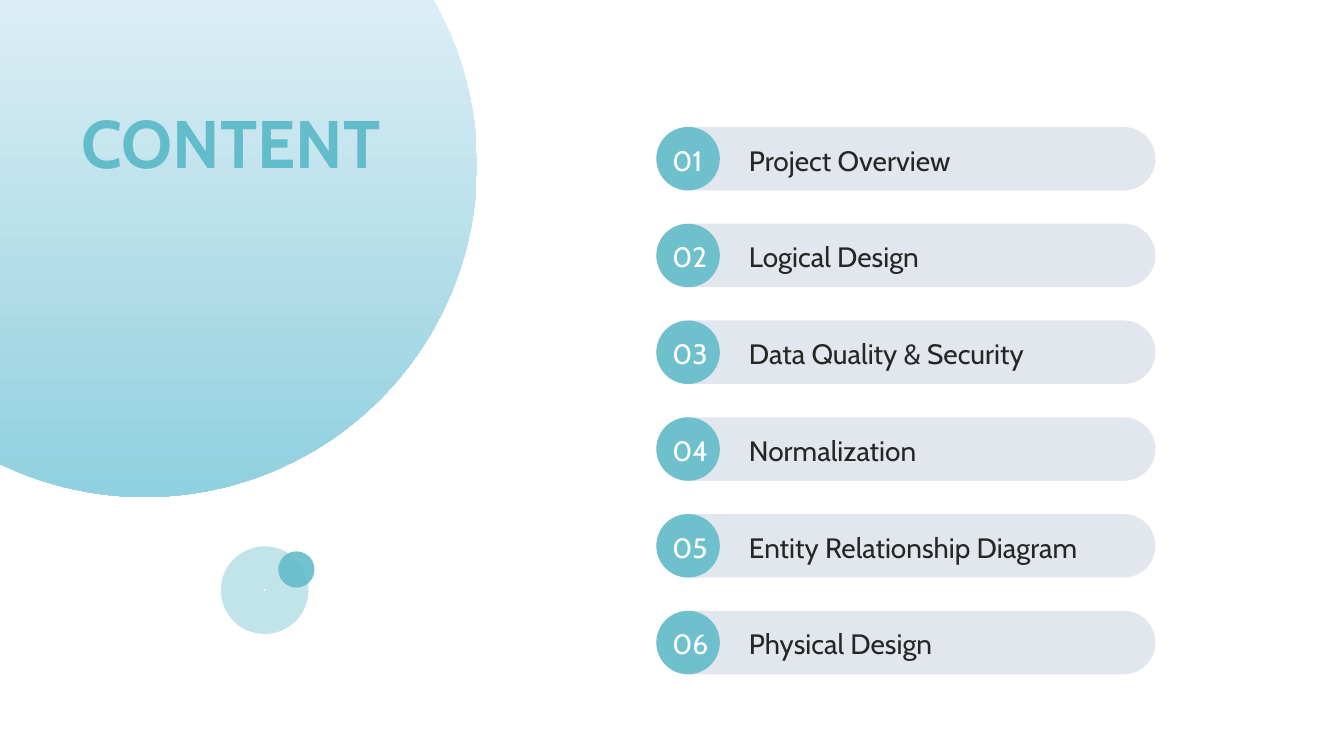
from lxml import etree
from pptx import Presentation
from pptx.dml.color import RGBColor
from pptx.enum.shapes import MSO_SHAPE
from pptx.enum.text import MSO_ANCHOR, MSO_AUTO_SIZE, PP_ALIGN
from pptx.oxml.ns import qn
from pptx.util import Inches, Pt

ELLIPSE = MSO_SHAPE.OVAL
DONUT = MSO_SHAPE.DONUT
ROUNDED = MSO_SHAPE.ROUNDED_RECTANGLE
TOP = MSO_ANCHOR.TOP
LEFT = PP_ALIGN.LEFT
NO_AUTOFIT = MSO_AUTO_SIZE.NONE

FONT = "Cabin"
TEAL, PALE, AQUA = "63BCCA", "F6F8FD", "90D0DF"
BAR, INK, WHITE = "E2E6ED", "262626", "FFFFFF"

TOPICS = [
    "Project Overview",
    "Logical Design",
    "Data Quality & Security",
    "Normalization",
    "Entity Relationship Diagram",
    "Physical Design",
]
FIRST_ROW, ROW_STEP, ROW_HEIGHT = 1.26, 0.96, 0.63
LIST_LEFT, BAR_WIDTH = 6.51, 4.95


def color(hex_string):
    return RGBColor.from_string(hex_string)


def add_preset(page, kind, left, top, width, height):
    shape = page.shapes.add_shape(
        kind, Inches(left), Inches(top), Inches(width), Inches(height))
    shape.shadow.inherit = False
    shape.line.fill.background()
    return shape


def fill_solid(shape, hex_string, opacity=100):
    shape.fill.solid()
    shape.fill.fore_color.rgb = color(hex_string)
    if opacity < 100:
        swatch = shape.element.spPr.find(qn("a:solidFill"))[0]
        etree.SubElement(swatch, qn("a:alpha"), val=str(opacity * 1000))


def fill_gradient(shape, top_color, bottom_color):
    shape.fill.gradient()
    shape.fill.gradient_angle = 270
    stops = shape.fill.gradient_stops
    for stop, position, hex_string in zip(stops, (0, 1), (top_color, bottom_color)):
        stop.position = position
        stop.color.rgb = color(hex_string)


def write_text(box, text, size, hex_string, bold=False):
    frame = box.text_frame
    frame.word_wrap = True
    frame.auto_size = NO_AUTOFIT
    frame.vertical_anchor = TOP
    para = frame.paragraphs[0]
    para.text = text
    para.alignment = LEFT
    para.font.name = FONT
    para.font.size = Pt(size)
    para.font.bold = bold
    para.font.color.rgb = color(hex_string)


def add_label(page, text, left, top, width, height, hex_string):
    box = page.shapes.add_textbox(
        Inches(left), Inches(top), Inches(width), Inches(height))
    box.text_frame.margin_right = 0
    write_text(box, text, 20, hex_string)


def add_decoration(page):
    ring = add_preset(page, DONUT, 2.19, 5.42, 0.87, 0.87)
    ring.adjustments[0] = 0.489
    fill_solid(ring, TEAL, 40)
    fill_gradient(add_preset(page, ELLIPSE, -1.86, -1.66, 6.59, 6.59), PALE, AQUA)
    fill_solid(add_preset(page, ELLIPSE, 2.76, 5.47, 0.36, 0.36), TEAL, 90)


def add_title(page, text):
    title = page.shapes.title
    title.left, title.top = Inches(0.71), Inches(0.96)
    title.width, title.height = Inches(4.8), Inches(1.09)
    write_text(title, text, 48, TEAL, bold=True)
    # Bring the title in front of the large circle
    page.shapes.element.append(title.element)


def add_topic(page, number, topic):
    top = FIRST_ROW + (number - 1) * ROW_STEP
    bar = add_preset(page, ROUNDED, LIST_LEFT, top, BAR_WIDTH, ROW_HEIGHT)
    bar.adjustments[0] = 0.5
    fill_solid(bar, BAR)
    badge = add_preset(page, ELLIPSE, LIST_LEFT, top, ROW_HEIGHT, ROW_HEIGHT)
    fill_solid(badge, TEAL, 90)
    add_label(page, f"{number:02d}", 6.57, top + 0.11, 0.56, 0.4, WHITE)
    add_label(page, topic, 7.33, top + 0.11, 4.12, 0.64, INK)


def main():
    deck = Presentation()
    deck.slide_width, deck.slide_height = Inches(13.33), Inches(7.5)
    page = deck.slides.add_slide(deck.slide_layouts[5])

    # Circles and title on the left
    add_decoration(page)
    add_title(page, "CONTENT")

    # Numbered topics on the right
    for number, topic in enumerate(TOPICS, start=1):
        add_topic(page, number, topic)

    deck.save("out.pptx")


if __name__ == "__main__":
    main()
